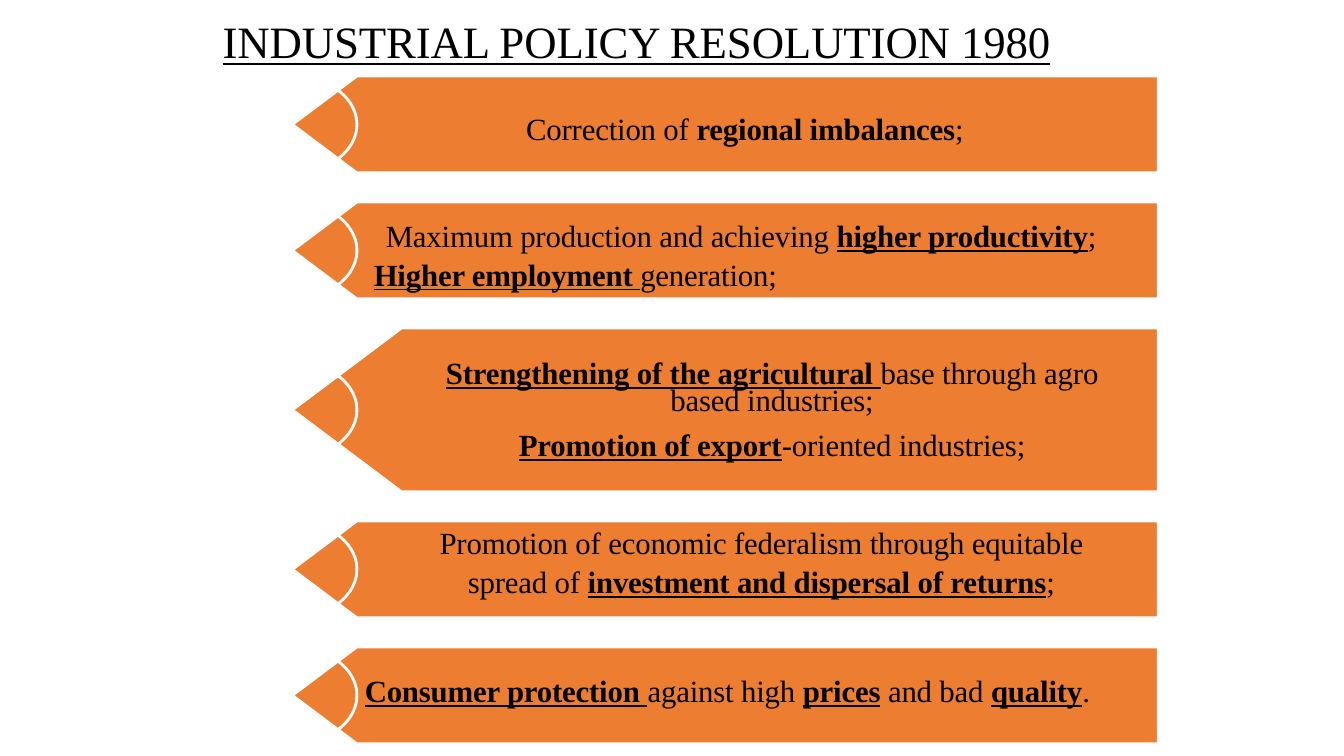
from pptx import Presentation
from pptx.dml.color import RGBColor
from pptx.enum import shapes, text
from pptx.util import Pt

ORANGE = RGBColor(0xED, 0x7D, 0x31)
WHITE = RGBColor(0xFF, 0xFF, 0xFF)
BLACK = RGBColor(0, 0, 0)
LEFT = text.PP_ALIGN.LEFT
MID = text.PP_ALIGN.CENTER


class Deck:
    font = "Times New Roman"
    size = 22
    edge = 2

    def __init__(self, slide):
        self.shapes = slide.shapes

    def trim(self, shape):
        shape.shadow.inherit = False
        shape.line.color.rgb = WHITE
        shape.line.width = Pt(self.edge)

    def banner(self, left, top, wide, high):
        right, low, neck = left + wide, top + high, left + high * 2 / 3
        pen = self.shapes.build_freeform(Pt(right), Pt(top))
        pen.add_line_segments([
            (Pt(neck), Pt(top)),
            (Pt(left), Pt(top + high / 2)),
            (Pt(neck), Pt(low)),
            (Pt(right), Pt(low)),
        ], close=True)
        shape = pen.convert_to_shape()
        shape.fill.solid()
        shape.fill.fore_color.rgb = ORANGE
        self.trim(shape)

    def ring(self, left, top, wide, high):
        shape = self.shapes.add_shape(
            shapes.MSO_SHAPE.OVAL, Pt(left), Pt(top), Pt(wide), Pt(high))
        shape.fill.background()
        self.trim(shape)

    def label(self, words, left, top, wide, high, size=None, align=LEFT,
              bold=True, line=True, lead=(1.05,), gap=0, inset=1,
              indent=0, anchor=text.MSO_ANCHOR.TOP):
        box = self.shapes.add_textbox(Pt(left), Pt(top), Pt(wide), Pt(high))
        frame = box.text_frame
        frame.word_wrap = True
        frame.vertical_anchor = anchor
        frame.margin_left = frame.margin_right = frame.margin_bottom = 0
        frame.margin_top = Pt(inset)
        for i, part in enumerate(words.split("\n")):
            para = frame.add_paragraph() if i else frame.paragraphs[0]
            para.alignment = align
            para.line_spacing = lead[min(i, len(lead) - 1)]
            if i:
                para.space_before = Pt(gap)
            if indent:
                para._p.get_or_add_pPr().set("indent", str(Pt(indent)))
            for j, bit in enumerate(part.split("*")):
                if not bit:
                    continue
                run = para.add_run()
                run.text = bit
                font = run.font
                font.name = self.font
                font.size = Pt(size or self.size)
                font.color.rgb = BLACK
                font.bold = bold and j % 2 == 1
                font.underline = line and j % 2 == 1
                run._r.get_or_add_rPr().set("spc", "-10")


def main():
    show = Presentation()
    show.slide_width, show.slide_height = Pt(960), Pt(540)
    deck = Deck(show.slides.add_slide(show.slide_layouts[6]))

    tip, wide, low, tall, gap = 208.8, 618.5, 69.2, 117, 20.8
    round_wide = low * 4 / 3
    top = 54.3
    for high in (low, low, tall, low, low):
        deck.banner(tip, top, wide, high)
        deck.ring(tip - round_wide / 2, top + (high - low) / 2,
                  round_wide, low)
        top += high + gap

    deck.label("*INDUSTRIAL POLICY RESOLUTION 1980*", 159, 8.6, 685, 40.3,
               size=32, bold=False, lead=(1.0,),
               anchor=text.MSO_ANCHOR.MIDDLE)
    deck.label("Correction of *regional imbalances*;", 375.8, 76, 337, 27.4,
               line=False)
    deck.label("Maximum production and achieving *higher productivity*; "
               "*Higher employment *generation;", 267, 149.8, 560, 57,
               inset=3.6, indent=8.6)
    deck.label("*Strengthening of the agricultural *base through agro "
               "based industries;\n"
               "*Promotion of export*-oriented industries;",
               300.5, 255.6, 502, 76.3, align=MID, inset=3.6,
               lead=(Pt(19.7), 1.0), gap=5.5)
    deck.label("Promotion of economic federalism through equitable\n"
               "spread of *investment and dispersal of returns*;",
               260.6, 371.8, 566.6, 54, align=MID)
    deck.label("*Consumer protection *against high *prices* and bad "
               "*quality*.", 260.6, 477.5, 566.6, 28)
    show.save("out.pptx")


if __name__ == "__main__":
    main()
